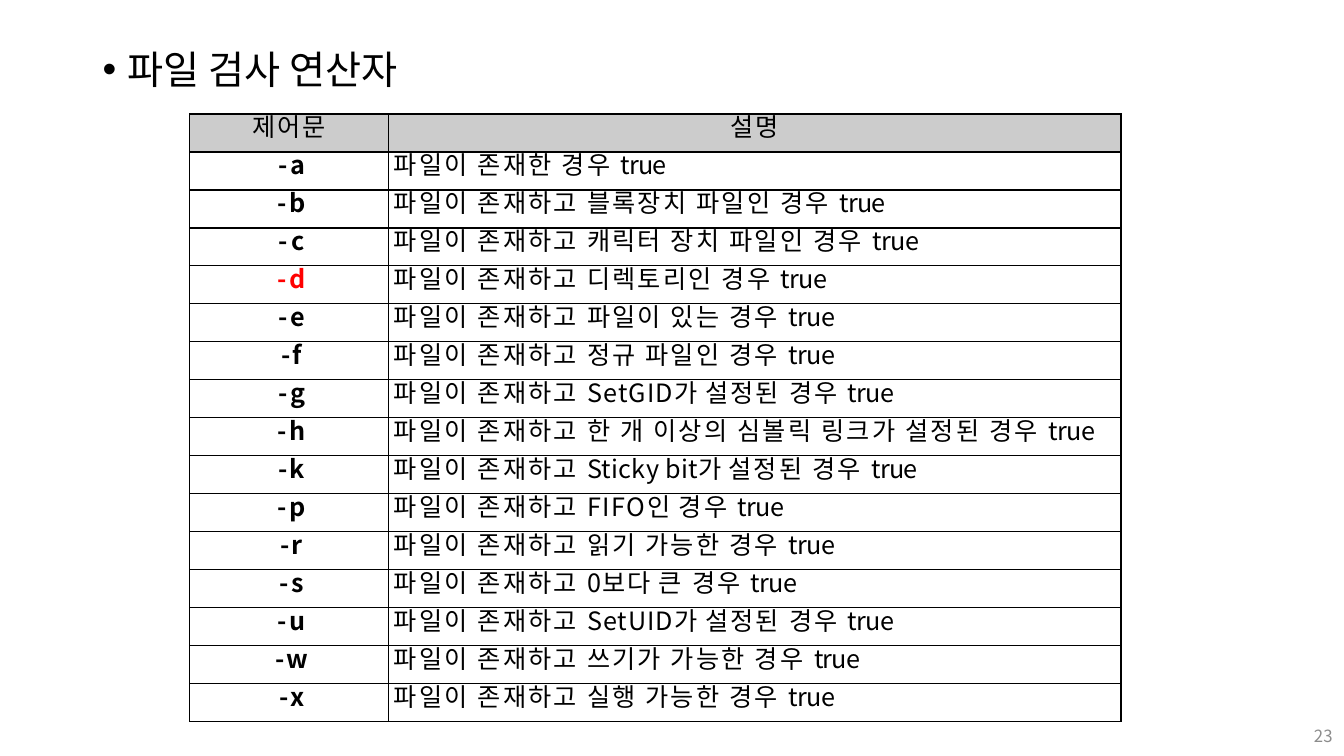
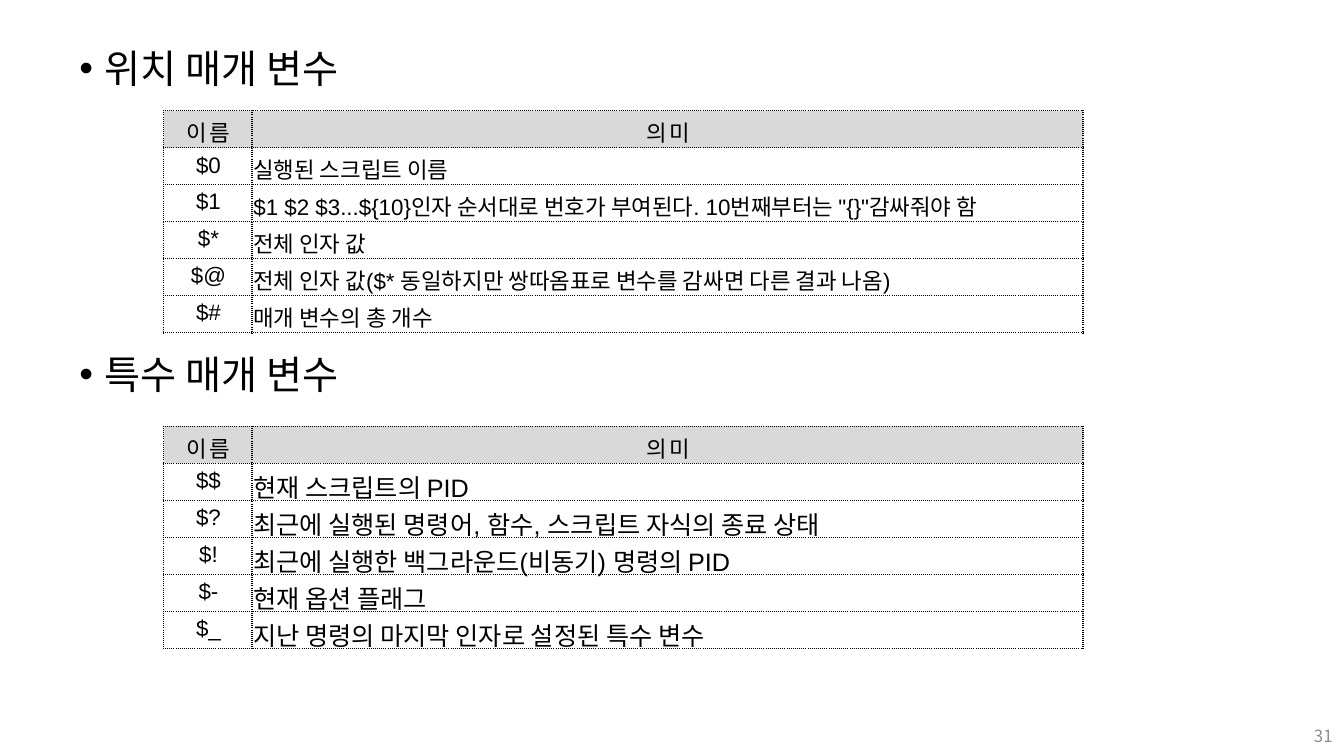
from lxml import etree
from pptx import Presentation
from pptx.dml.color import RGBColor
from pptx.enum.text import MSO_ANCHOR, PP_ALIGN
from pptx.oxml.ns import qn
from pptx.util import Pt

LEFT, CENTER, RIGHT = PP_ALIGN.LEFT, PP_ALIGN.CENTER, PP_ALIGN.RIGHT
TOP, MIDDLE = MSO_ANCHOR.TOP, MSO_ANCHOR.MIDDLE

COLORS = {
    "text": "000000",
    "alert": "FF0000",
    "number": "8C8C8C",
    "test_header": "CCCCCC",
    "variable_header": "D9D9D9",
}
KOREAN = "Noto Sans CJK KR"
LATIN = "Arial"
WIDE = 1.6
EXISTS = "파일이 존재하고 "

TESTS = [
    ("-a", 2.2, ["파일이 존재한 경우 "]),
    ("-b", 1.9, [EXISTS + "블록장치 파일인 경우 "]),
    ("-c", 2.2, [EXISTS + "캐릭터 장치 파일인 경우 "]),
    ("-d", 1.9, [EXISTS + "디렉토리인 경우 "]),
    ("-e", 1.8, [EXISTS + "파일이 있는 경우 "]),
    ("-f", 1.6, [EXISTS + "정규 파일인 경우 "]),
    ("-g", 1.9, [EXISTS, ("SetGID가 ", 0.8), "설정된 경우 "]),
    ("-h", 1.6, [EXISTS + "한 개 이상의 심볼릭 링크가 설정된 경우 "]),
    ("-k", 1.6, [EXISTS, ("Sticky ", 0.2), ("bit가 ", 0.3), "설정된 경우 "]),
    ("-p", 1.9, [EXISTS, ("FIFO인 ", 1.1), "경우 "]),
    ("-r", 1.1, [EXISTS + "읽기 가능한 경우 "]),
    ("-s", 1.9, [EXISTS, ("0보다 ", 1), "큰 경우 "]),
    ("-u", 1.6, [EXISTS, ("SetUID가 ", 0.7), "설정된 경우 "]),
    ("-w", 1.5, [EXISTS + "쓰기가 가능한 경우 "]),
    ("-x", 1.6, [EXISTS + "실행 가능한 경우 "]),
]
POSITIONAL = [
    ("$0", "실행된 스크립트 이름"),
    ("$1", '$1 $2 $3...${10}인자 순서대로 번호가 부여된다. 10번째부터는 "{}"감싸줘야 함'),
    ("$*", "전체 인자 값"),
    ("$@", "전체 인자 값($* 동일하지만 쌍따옴표로 변수를 감싸면 다른 결과 나옴)"),
    ("$#", "매개 변수의 총 개수"),
]
SPECIAL = [
    ("$$", "현재 스크립트의 PID"),
    ("$?", "최근에 실행된 명령어, 함수, 스크립트 자식의 종료 상태"),
    ("$!", "최근에 실행한 백그라운드(비동기) 명령의 PID"),
    ("$-", "현재 옵션 플래그"),
    ("$_", "지난 명령의 마지막 인자로 설정된 특수 변수"),
]


def write(frame, text, size=18, font=KOREAN, color="text", bold=False, align=LEFT,
          spacing=0, margin=0, hanging=0, bullet=None, before=0, line=None):
    paragraph = frame.paragraphs[0]
    paragraph.alignment = align
    paragraph.space_before = Pt(before)
    if line:
        paragraph.line_spacing = line
    properties = paragraph._p.get_or_add_pPr()
    properties.set("marL", str(Pt(margin)))
    properties.set("indent", str(Pt(-hanging)))
    if bullet:
        etree.SubElement(properties, qn("a:buFont"), typeface=LATIN)
        etree.SubElement(properties, qn("a:buChar"), char=bullet)
    parts = [text] if isinstance(text, str) else text
    for part in parts:
        words, gap = (part, spacing) if isinstance(part, str) else part
        run = paragraph.add_run()
        run.text = words
        run.font.size = Pt(size)
        run.font.name = font
        run.font.bold = bold
        run.font.color.rgb = RGBColor.from_string(COLORS[color])
        run_properties = run.font._element
        run_properties.set("spc", str(round(gap * 100)))
        run_properties.find(qn("a:latin")).addnext(
            etree.Element(qn("a:ea"), typeface=KOREAN))


def add_text(slide, text, left, top, width, height, anchor=TOP, **text_format):
    frame = slide.shapes.add_textbox(Pt(left), Pt(top), Pt(width), Pt(height)).text_frame
    frame.word_wrap = True
    frame.vertical_anchor = anchor
    write(frame, text, **text_format)


def add_heading(slide, text, left, top):
    add_text(slide, text, left, top, 828, 44, size=28, line=0.9,
             margin=18, hanging=18, bullet="•")


def add_page_number(slide, number):
    add_text(slide, number, 923, 511.2, 36, 28.8, anchor=MIDDLE,
             size=12, color="number", align=RIGHT)


def set_borders(cell, dash):
    properties = cell._tc.get_or_add_tcPr()
    for position, side in enumerate(("lnL", "lnR", "lnT", "lnB")):
        border = etree.Element(qn("a:" + side), w=str(Pt(1)))
        fill = etree.SubElement(border, qn("a:solidFill"))
        etree.SubElement(fill, qn("a:srgbClr"), val=COLORS["text"])
        etree.SubElement(border, qn("a:prstDash"), val=dash)
        properties.insert(position, border)


def add_grid(slide, rows, left, top, widths, row_height, header, dash, inset=0):
    table = slide.shapes.add_table(
        len(rows), len(widths), Pt(left), Pt(top),
        Pt(sum(widths)), Pt(row_height * len(rows))).table
    table.first_row = table.horz_banding = False
    for column, width in zip(table.columns, widths):
        column.width = Pt(width)
    for row_index, row in enumerate(rows):
        table.rows[row_index].height = Pt(row_height)
        for column_index, (text, text_format) in enumerate(row):
            cell = table.cell(row_index, column_index)
            cell.margin_left = cell.margin_right = cell.margin_bottom = 0
            cell.margin_top = Pt(inset)
            if row_index == 0:
                cell.fill.solid()
                cell.fill.fore_color.rgb = RGBColor.from_string(COLORS[header])
            else:
                cell.fill.background()
            set_borders(cell, dash)
            write(cell.text_frame, text, **text_format)


def add_test_table(slide):
    base = dict(line=Pt(21.4), spacing=WIDE)
    title = dict(base, align=CENTER)
    rows = [[("제어문", title), ("설명", title)]]
    for flag, spacing, meaning in TESTS:
        color = "alert" if flag == "-d" else "text"
        flag_format = dict(base, align=CENTER, margin=3.6, bold=True,
                           spacing=spacing, color=color)
        rows.append([(flag, flag_format),
                     (meaning + [("true", -0.5)], dict(base, margin=3.6))])
    add_grid(slide, rows, 135.6, 81.4, (142, 523.2), 27.14, "test_header", "solid")


def add_variable_table(slide, variables, top, meaning_size):
    base = dict(size=16, font=LATIN, before=3.3, margin=1)
    title = dict(base, align=CENTER, spacing=1.4)
    rows = [[("이름", title), ("의미", title)]]
    rows += [[(name, dict(base, align=CENTER)),
              (meaning, dict(base, size=meaning_size))]
             for name, meaning in variables]
    add_grid(slide, rows, 116.8, top, (63.2, 593.6), 26.4,
             "variable_header", "sysDot", inset=3.6)


def main():
    deck = Presentation()
    deck.slide_width, deck.slide_height = Pt(960), Pt(540)
    blank = deck.slide_layouts[6]

    tests = deck.slides.add_slide(blank)
    add_heading(tests, "파일 검사 연산자", 66.2, 32.4)
    add_test_table(tests)
    add_page_number(tests, "23")

    parameters = deck.slides.add_slide(blank)
    add_heading(parameters, "위치 매개 변수", 49.7, 31.7)
    add_variable_table(parameters, POSITIONAL, 79.2, 16)
    add_heading(parameters, "특수 매개 변수", 49.7, 250.3)
    add_variable_table(parameters, SPECIAL, 304.6, 18)
    add_page_number(parameters, "31")

    deck.save("out.pptx")


if __name__ == "__main__":
    main()
